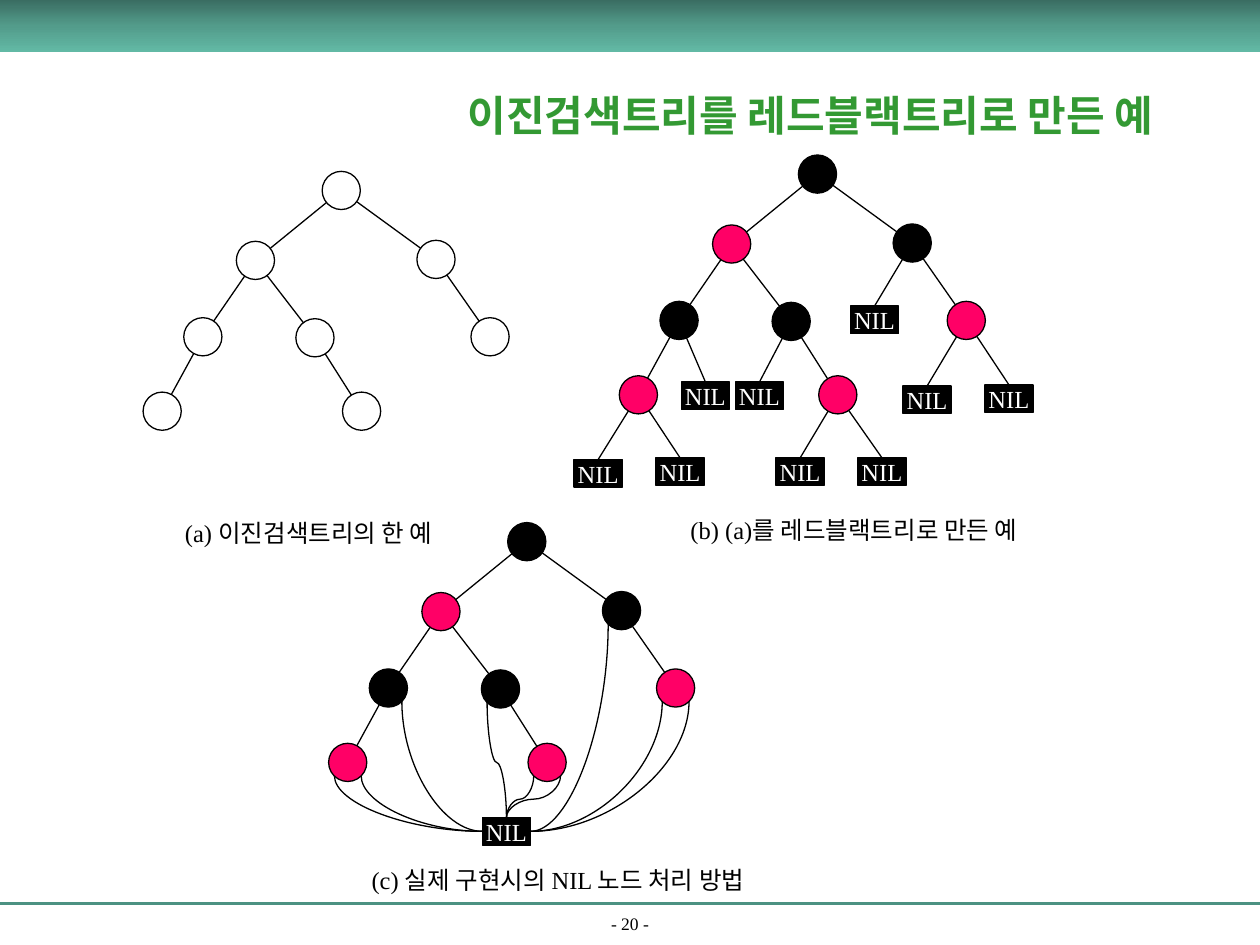
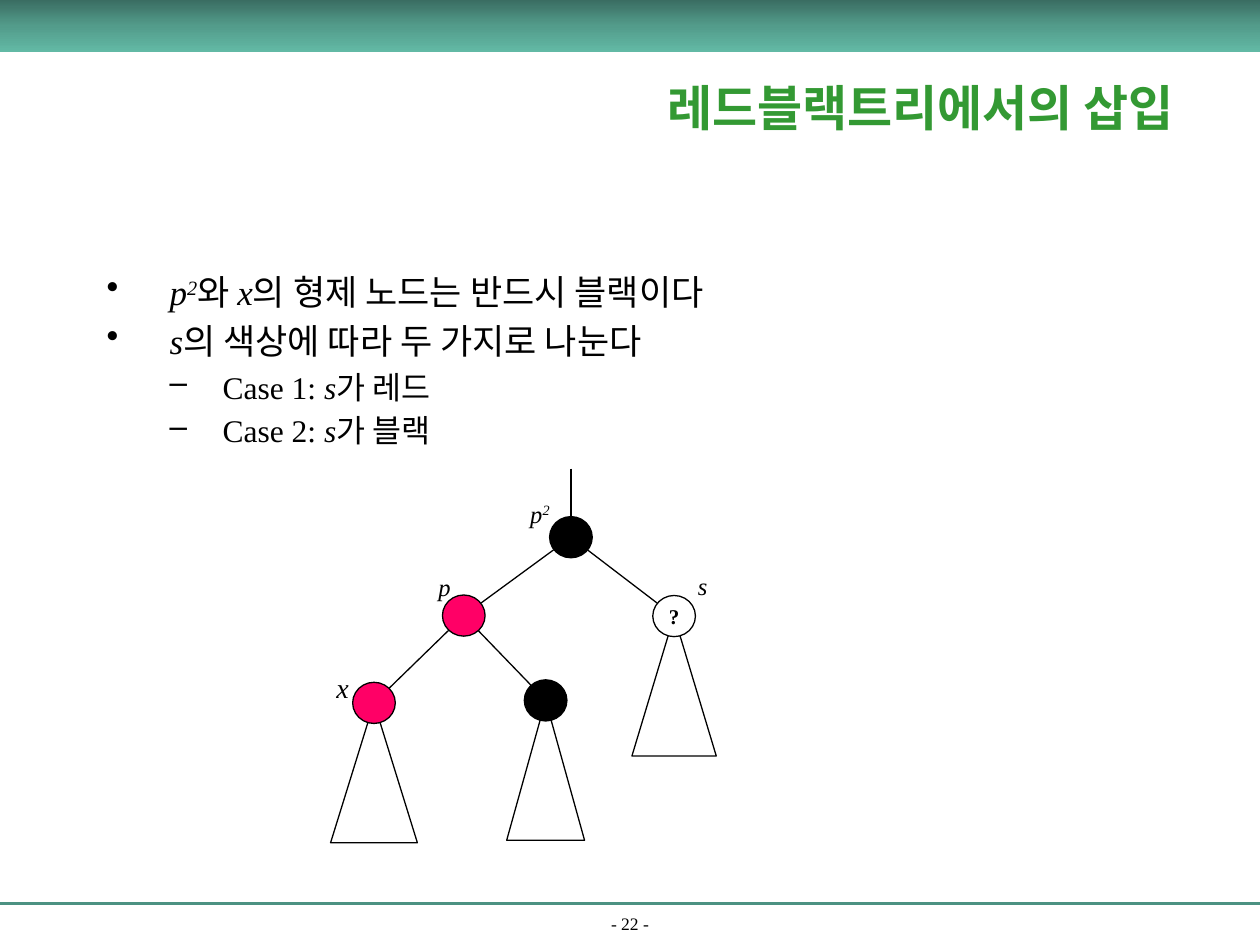
import copy
import dataclasses
import math

import lxml.etree
import pptx
import pptx.dml.color
import pptx.enum.shapes
import pptx.enum.text
import pptx.oxml.ns
import pptx.util


@dataclasses.dataclass(frozen=True)
class Theme:
    black: str = "000000"
    white: str = "FFFFFF"
    red: str = "FF0066"
    title: str = "339933"
    rule: str = "4C9282"
    band: tuple = ("3A6D62", "539C8B", "62B9A5")
    latin: str = "Times New Roman"
    korean: str = "Noto Sans CJK KR"
    footer_size: int = 10
    mark_size: int = 12
    label_size: int = 14
    x_size: int = 16
    body_sizes: tuple = (20, 18)
    hairline: float = 0.75
    rule_width: float = 1.5


theme = Theme()
Cm = pptx.util.Cm
Pt = pptx.util.Pt
rgb = pptx.dml.color.RGBColor.from_string
qn = pptx.oxml.ns.qn
shapes = pptx.enum.shapes.MSO_SHAPE
connectors = pptx.enum.shapes.MSO_CONNECTOR
align = pptx.enum.text.PP_ALIGN
anchors = pptx.enum.text.MSO_ANCHOR


def add_item(slide, box, kind=None, fill=None, line=theme.black, paragraphs=(), size=theme.label_size,
             color=theme.black, bold=False, centered=False, anchor=anchors.TOP, wrap=False):
    lengths = [Cm(value) for value in box]
    if kind is None:
        shape = slide.shapes.add_textbox(*lengths)
    else:
        shape = slide.shapes.add_shape(kind, *lengths)
        shape.shadow.inherit = False
        if fill:
            shape.fill.solid()
            shape.fill.fore_color.rgb = rgb(fill)
        else:
            shape.fill.background()
        if line:
            shape.line.color.rgb = rgb(line)
            shape.line.width = Pt(theme.hairline)
        else:
            shape.line.fill.background()
    frame = shape.text_frame
    frame.word_wrap = wrap
    frame.vertical_anchor = anchor
    for index, runs in enumerate(paragraphs):
        paragraph = frame.add_paragraph() if index else frame.paragraphs[0]
        paragraph.alignment = align.CENTER if centered else align.LEFT
        for text, style in runs:
            run = paragraph.add_run()
            run.text = text
            run.font.size = Pt(size)
            run.font.bold = bold
            run.font.italic = "italic" in style
            run.font.color.rgb = rgb(color)
            run.font.name = theme.korean if "korean" in style else theme.latin
            properties = run._r.get_or_add_rPr()
            lxml.etree.SubElement(properties, qn("a:ea")).set("typeface", theme.korean)
            if "super" in style:
                properties.set("baseline", "30000")
    return shape


def add_line(slide, start, end, start_gap=0, end_gap=0, kind=connectors.STRAIGHT,
             color=theme.black, width=theme.hairline):
    distance = math.dist(start, end)
    step_x, step_y = (end[0] - start[0]) / distance, (end[1] - start[1]) / distance
    connector = slide.shapes.add_connector(
        kind,
        Cm(start[0] + step_x * start_gap), Cm(start[1] + step_y * start_gap),
        Cm(end[0] - step_x * end_gap), Cm(end[1] - step_y * end_gap))
    connector.line.color.rgb = rgb(color)
    connector.line.width = Pt(width)
    lxml.etree.SubElement(connector._element.spPr, qn("a:effectLst"))
    return connector


presentation = pptx.Presentation()
presentation.slide_width = Cm(25.4)
presentation.slide_height = Cm(19.05)

pages = [
    ("- 20 -", "이진검색트리를 레드블랙트리로 만든 예", (7.42, 1.22, 17.83, 2.18), 24),
    ("- 22 -", "레드블랙트리에서의 삽입", (11.71, 1.07, 13.69, 2.16), 28),
]
for number, title, title_box, title_size in pages:
    slide = presentation.slides.add_slide(presentation.slide_layouts[6])
    add_line(slide, (0, 18.21), (25.4, 18.21), color=theme.rule, width=theme.rule_width)
    add_item(slide, (0, 18.39, 25.4, 0.56), paragraphs=[[(number, "")]], size=theme.footer_size,
             centered=True, anchor=anchors.BOTTOM, wrap=True)
    band = add_item(slide, (0, 0, 25.4, 1.05), shapes.RECTANGLE, line=None)
    band.fill.gradient()
    band.fill.gradient_angle = 270
    stop_list = band._element.spPr.find(".//" + qn("a:gsLst"))
    stop_list.insert(1, copy.deepcopy(stop_list[0]))
    for stop, position, color in zip(band.fill.gradient_stops, (0, 0.5, 1), theme.band):
        stop.position = position
        stop.color.rgb = rgb(color)
    add_item(slide, title_box, paragraphs=[[(title, "")]], size=title_size, color=theme.title,
             bold=True, centered=True, anchor=anchors.MIDDLE, wrap=True)

tree_slide, insert_slide = presentation.slides

radius = 0.385
node_offsets = {
    "root": (0, 0),
    "left": (-1.73, 1.41),
    "right": (1.91, 1.39),
    "left left": (-2.79, 2.95),
    "left right": (-0.53, 2.97),
    "right right": (3, 2.95),
    "left left left": (-3.61, 4.45),
    "left right right": (0.41, 4.45),
}
red_nodes = {"left", "right right", "left left left", "left right right"}
trees = {}
for tree, root_x, root_y, colored in [
    ("a", 6.88, 3.84, False),
    ("b", 16.48, 3.51, True),
    ("c", 10.62, 10.92, True),
]:
    centers = {name: (root_x + x, root_y + y) for name, (x, y) in node_offsets.items()}
    trees[tree] = centers
    for name, (x, y) in centers.items():
        fill = (theme.red if name in red_nodes else theme.black) if colored else None
        add_item(tree_slide, (x - radius, y - radius, 2 * radius, 2 * radius), shapes.OVAL, fill)
        if name != "root":
            parent = name.rpartition(" ")[0] or "root"
            add_line(tree_slide, centers[parent], (x, y), radius, radius)

nil_width, nil_height = 0.97, 0.56
nil_tops = []
for parent, offset_x, offset_y in [
    ("right", -0.76, 1.27),
    ("left left", 0.53, 1.24),
    ("left right", -0.64, 1.22),
    ("right right", -0.79, 1.32),
    ("right right", 0.86, 1.3),
    ("left left left", -0.81, 1.3),
    ("left left left", 0.84, 1.27),
    ("left right right", -0.76, 1.27),
    ("left right right", 0.89, 1.27),
]:
    parent_x, parent_y = trees["b"][parent]
    nil_top = (parent_x + offset_x, parent_y + offset_y)
    nil_tops.append(nil_top)
    add_line(tree_slide, (parent_x, parent_y), nil_top, radius)

shared_x, shared_y = 10.21, 16.48
for x, y in nil_tops + [(shared_x, shared_y)]:
    add_item(tree_slide, (x - nil_width / 2, y, nil_width, nil_height), shapes.RECTANGLE, theme.black,
             paragraphs=[[("NIL", "")]], color=theme.white, centered=True, anchor=anchors.MIDDLE)

nil_sides = {
    "left": (shared_x - nil_width / 2, shared_y + nil_height / 2),
    "right": (shared_x + nil_width / 2, shared_y + nil_height / 2),
    "top": (shared_x, shared_y),
}
corner = 0.27
for name, direction, side, bend in [
    ("right", -1, "right", None),
    ("right right", -1, "right", None),
    ("right right", 1, "right", None),
    ("left left left", -1, "left", None),
    ("left left left", 1, "left", None),
    ("left left", 1, "left", None),
    ("left right", -1, "top", 52300),
    ("left right right", -1, "top", 56100),
    ("left right right", 1, "top", 56100),
]:
    node_x, node_y = trees["c"][name]
    start_x, start_y = node_x + direction * corner, node_y + corner
    end_x, end_y = nil_sides[side]
    middle_x, middle_y = (start_x + end_x) / 2, (start_y + end_y) / 2
    half_width, half_height = (end_y - start_y) / 2, abs(end_x - start_x) / 2
    turns_right = end_x > start_x
    if turns_right:
        half_width = -half_width
    curve = add_line(tree_slide, (middle_x - half_width, middle_y - half_height),
                     (middle_x + half_width, middle_y + half_height), kind=connectors.CURVE)
    properties = curve._element.spPr
    properties.find(qn("a:xfrm")).set("rot", "16200000" if turns_right else "5400000")
    geometry = properties.find(qn("a:prstGeom"))
    if bend is None:
        geometry.set("prst", "curvedConnector2")
    else:
        guide = lxml.etree.SubElement(geometry.find(qn("a:avLst")), qn("a:gd"))
        guide.set("name", "adj1")
        guide.set("fmla", f"val {bend}")

for box, runs in [
    ((3.48, 10.31, 5.99, 0.84), [("(a) ", ""), ("이진검색트리의 한 예", "korean")]),
    ((13.67, 10.26, 7.67, 0.84), [("(b) (a)", ""), ("를 레드블랙트리로 만든 예", "korean")]),
    ((7.24, 17.32, 8.79, 0.84), [("(c) ", ""), ("실제 구현시의 ", "korean"), ("NIL ", ""),
                                 ("노드 처리 방법", "korean")]),
]:
    add_item(tree_slide, box, paragraphs=[runs])

points = [
    (0, [("p", "italic"), ("2", "italic super"), ("와 ", ""), ("x", "italic"),
         ("의 형제 노드는 반드시 블랙이다", "")]),
    (0, [("s", "italic"), ("의 색상에 따라 두 가지로 나눈다", "")]),
    (1, [("Case 1: ", ""), ("s", "italic"), ("가 레드", "")]),
    (1, [("Case 2: ", ""), ("s", "italic"), ("가 블랙", "")]),
]
body = add_item(insert_slide, (1.9, 5.33, 21.69, 4.29), paragraphs=[runs for level, runs in points], wrap=True)
levels = [("•", 1.27, 1.27, 24), ("–", 2.34, 1.07, 21)]
for index, (paragraph, (level, runs)) in enumerate(zip(body.text_frame.paragraphs, points)):
    bullet, margin, hanging, line_height = levels[level]
    properties = paragraph._p.get_or_add_pPr()
    properties.set("marL", str(Cm(margin)))
    properties.set("indent", str(-Cm(hanging)))
    lxml.etree.SubElement(properties, qn("a:buChar")).set("char", bullet)
    paragraph.level = level
    paragraph.line_spacing = Pt(line_height)
    if index:
        paragraph.space_before = Pt(4)
    for run in paragraph.runs:
        run.font.size = Pt(theme.body_sizes[level])

node_width, node_height = 0.86, 0.83
family = {
    "grandparent": ((11.51, 10.83), theme.black, None, None),
    "parent": ((9.35, 12.41), theme.red, "grandparent", None),
    "uncle": ((13.59, 12.42), theme.white, "grandparent", 1.7),
    "x": ((7.54, 14.17), theme.red, "parent", 1.75),
    "sibling": ((11, 14.12), theme.black, "parent", 1.57),
}
add_line(insert_slide, (11.51, 9.45), family["grandparent"][0], end_gap=node_height / 2)
for name, ((x, y), fill, parent, subtree_width) in family.items():
    if subtree_width:
        add_item(insert_slide, (x - subtree_width / 2, y, subtree_width, 2.82), shapes.ISOSCELES_TRIANGLE)
    if parent:
        add_line(insert_slide, family[parent][0], (x, y), node_width / 2, node_width / 2)
    add_item(insert_slide, (x - node_width / 2, y - node_height / 2, node_width, node_height),
             shapes.OVAL, fill, paragraphs=[[("?", "")]] if name == "uncle" else (),
             size=theme.mark_size, bold=True, centered=True, anchor=anchors.MIDDLE)

for box, runs, size in [
    ((6.53, 13.39, 0.76, 0.94), [("x", "italic")], theme.x_size),
    ((8.59, 11.4, 0.76, 0.84), [("p", "italic")], theme.label_size),
    ((13.82, 11.38, 0.71, 0.84), [("s", "italic")], theme.label_size),
    ((10.44, 9.93, 0.91, 0.84), [("p", "italic"), ("2", "italic super")], theme.label_size),
]:
    add_item(insert_slide, box, paragraphs=[runs], size=size)

presentation.save("out.pptx")
